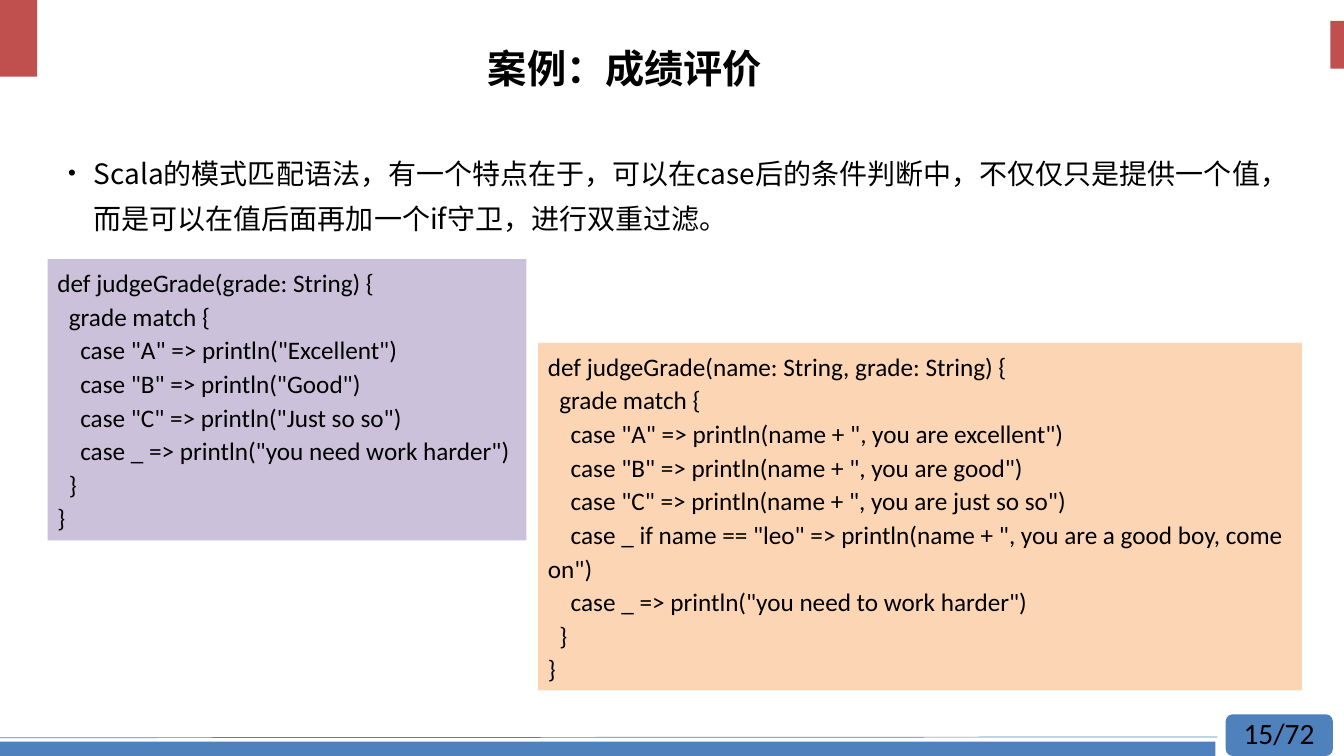
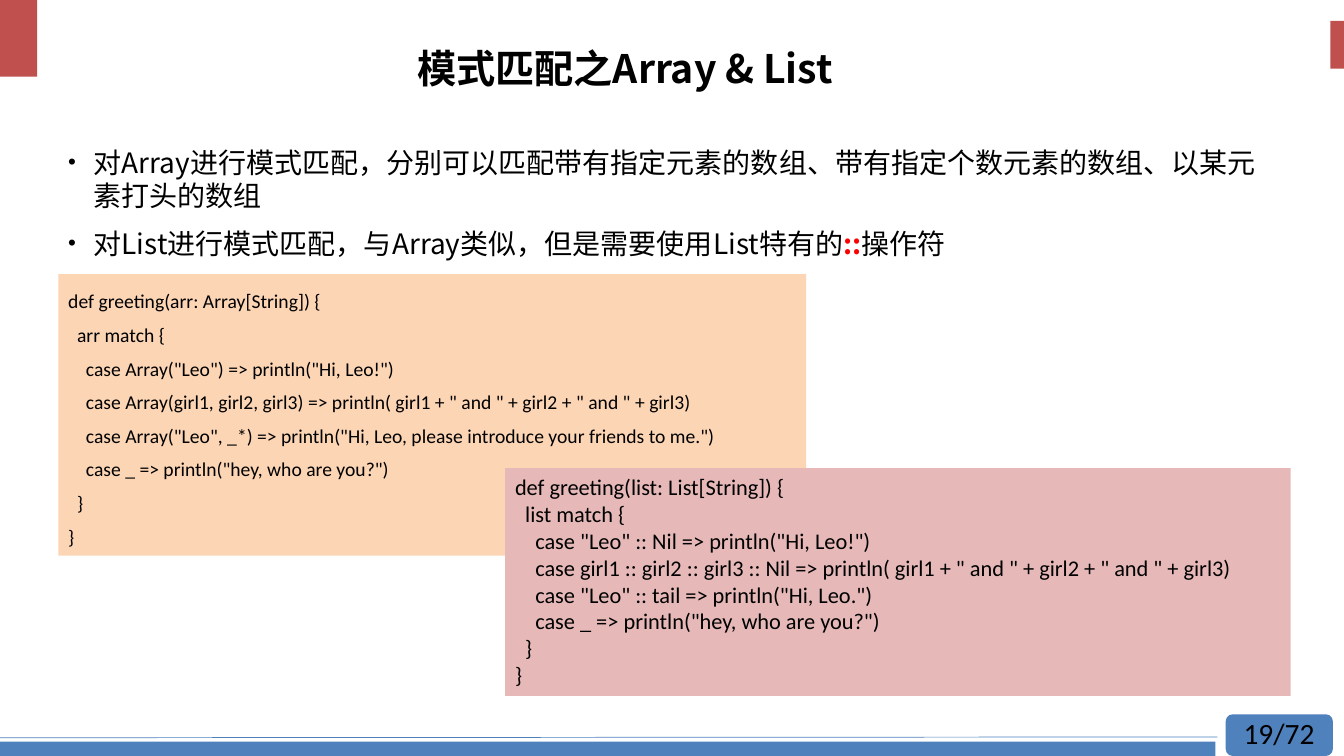
from dataclasses import dataclass

from lxml.etree import SubElement
from pptx import Presentation
from pptx.dml.color import RGBColor
from pptx.enum.shapes import MSO_CONNECTOR, MSO_SHAPE as SHAPE
from pptx.enum.text import MSO_ANCHOR as ANCHOR, PP_ALIGN as ALIGN
from pptx.oxml.ns import qn
from pptx.util import Cm, Pt


@dataclass(frozen=True)
class Theme:
    red: str = "C0504D"
    blue: str = "4F81BD"
    ink: str = "000000"
    accent: str = "FF0000"
    purple: str = "CCC1DA"
    orange: str = "FCD5B5"
    pink: str = "E6B9B8"
    font: str = "Noto Sans CJK SC"
    code_font: str = "Calibri"
    title_size: int = 28
    body_size: int = 20
    page_size: int = 21
    code_leading: int = 24
    indent_em: float = 0.226  # width of one space in the code font


T = Theme()
WIDTH, HEIGHT = 33.87, 19.05
TOTAL_PAGES = 72


def add_box(s, box, fill=None, kind=SHAPE.RECTANGLE):
    """Add a plain filled shape, or a text box when there is no fill."""
    lengths = [Cm(v) for v in box]
    if fill is None:
        return s.shapes.add_textbox(*lengths)
    sp = s.shapes.add_shape(kind, *lengths)
    sp.shadow.inherit = False
    sp.fill.solid()
    sp.fill.fore_color.rgb = RGBColor.from_string(fill)
    sp.line.fill.background()
    return sp


def add_bullet(p):
    pPr = p._p.get_or_add_pPr()
    pPr.set("marL", str(Cm(0.64)))
    pPr.set("indent", str(-Cm(0.64)))
    SubElement(pPr, qn("a:buSzPct"), val="80000")
    SubElement(pPr, qn("a:buFont"), typeface="Arial")
    SubElement(pPr, qn("a:buChar"), char="•")


def add_run(p, text, size, font, color=T.ink, bold=False):
    r = p.add_run()
    r.text = text
    r.font.size, r.font.name, r.font.bold = Pt(size), font, bold
    r.font.color.rgb = RGBColor.from_string(color)
    SubElement(r._r.get_or_add_rPr(), qn("a:ea"), typeface=font)


def set_text(sp, paragraphs, size, font=T.font, bold=False, align=ALIGN.LEFT,
             anchor=ANCHOR.TOP, leading=None, before=0, bullet=False, code=False):
    """Fill a shape; a paragraph is a string or a list of (text, run format)."""
    tf = sp.text_frame
    tf.word_wrap = True
    tf.vertical_anchor = anchor
    for i, content in enumerate(paragraphs):
        p = tf.paragraphs[0] if i == 0 else tf.add_paragraph()
        p.alignment = align
        p.space_before = Pt(before)
        if leading:
            p.line_spacing = leading
        if bullet:
            add_bullet(p)
        if code:
            depth = len(content) - len(content.lstrip())
            content = content.lstrip()
            p._p.get_or_add_pPr().set("indent", str(Pt(depth * T.indent_em * size)))
        runs = [(content, {})] if isinstance(content, str) else content
        for text, fmt in runs:
            add_run(p, text, size, font, **{"bold": bold, **fmt})


def add_frame(s, page):
    """Draw the corner marks, the footer band and the page number."""
    add_box(s, (0, 0, 0.94, 1.93), T.red)
    add_box(s, (WIDTH - 0.34, 0.53, 0.34, 1.2), T.red)
    add_box(s, (0, HEIGHT - 0.36, 30.63, 0.36), T.blue)
    add_box(s, (30.89, 18.0, 2.7, 1.05), T.blue, SHAPE.FLOWCHART_ALTERNATE_PROCESS)
    rule = s.shapes.add_connector(MSO_CONNECTOR.STRAIGHT,
                                  Cm(0), Cm(18.59), Cm(30.68), Cm(18.57))
    rule.line.color.rgb = RGBColor.from_string(T.blue)
    rule.line.width = Pt(0.5)
    SubElement(rule._element.spPr, qn("a:effectLst"))
    set_text(add_box(s, (31.09, 17.9, 2.6, 1.14)), [f"{page}/{TOTAL_PAGES}"],
             T.page_size, font=T.code_font)


def add_code(s, box, fill, code, size, leading=None):
    set_text(add_box(s, box, fill), code.strip().split("\n"), size,
             font=T.code_font, leading=leading, code=True)


def add_content_slide(prs, page, title, bullets, leading):
    s = prs.slides.add_slide(prs.slide_layouts[6])
    add_frame(s, page)
    set_text(add_box(s, (1.47, 3.53, 31.04, 13.87)), bullets, T.body_size,
             leading=Pt(leading), before=10, bullet=True)
    set_text(add_box(s, (4.32, 0.74, 22.86, 2.08)), [title], T.title_size,
             bold=True, align=ALIGN.CENTER, anchor=ANCHOR.MIDDLE, leading=0.9)
    return s


GRADE = '''
def judgeGrade(grade: String) {
  grade match {
    case "A" => println("Excellent")
    case "B" => println("Good")
    case "C" => println("Just so so")
    case _ => println("you need work harder")
  }
}
'''

GUARDED_GRADE = '''
def judgeGrade(name: String, grade: String) {
  grade match {
    case "A" => println(name + ", you are excellent")
    case "B" => println(name + ", you are good")
    case "C" => println(name + ", you are just so so")
    case _ if name == "leo" => println(name + ", you are a good boy, come on")
    case _ => println("you need to work harder")
  }
}
'''

ARRAY_GREETING = '''
def greeting(arr: Array[String]) {
  arr match {
    case Array("Leo") => println("Hi, Leo!")
    case Array(girl1, girl2, girl3) => println( girl1 + " and " + girl2 + " and " + girl3)
    case Array("Leo", _*) => println("Hi, Leo, please introduce your friends to me.")
    case _ => println("hey, who are you?")
  }
}
'''

LIST_GREETING = '''
def greeting(list: List[String]) {
  list match {
    case "Leo" :: Nil => println("Hi, Leo!")
    case girl1 :: girl2 :: girl3 :: Nil => println( girl1 + " and " + girl2 + " and " + girl3)
    case "Leo" :: tail => println("Hi, Leo.")
    case _ => println("hey, who are you?")
  }
}
'''


def add_grade_slide(prs):
    s = add_content_slide(prs, 15, "案例：成绩评价", [
        "Scala的模式匹配语法，有一个特点在于，可以在case后的条件判断中，"
        "不仅仅只是提供一个值，而是可以在值后面再加一个if守卫，进行双重过滤。",
    ], leading=32)
    leading = Pt(T.code_leading)
    add_code(s, (1.2, 6.53, 12.07, 7.09), T.purple, GRADE, 18, leading)
    add_code(s, (13.56, 8.64, 19.25, 8.76), T.orange, GUARDED_GRADE, 18, leading)


def add_array_list_slide(prs):
    s = add_content_slide(prs, 19, "模式匹配之Array & List", [
        "对Array进行模式匹配，分别可以匹配带有指定元素的数组、"
        "带有指定个数元素的数组、以某元素打头的数组",
        [("对List进行模式匹配，与Array类似，但是需要使用List特有的", {}),
         ("::", {"color": T.accent, "bold": True}),
         ("操作符", {})],
    ], leading=24)
    add_code(s, (1.47, 6.91, 18.85, 7.09), T.orange, ARRAY_GREETING, 14,
             Pt(T.code_leading))
    add_code(s, (12.73, 11.8, 19.8, 5.74), T.pink, LIST_GREETING, 16)


def main():
    prs = Presentation()
    prs.slide_width, prs.slide_height = Cm(WIDTH), Cm(HEIGHT)
    add_grade_slide(prs)
    add_array_list_slide(prs)
    prs.save("out.pptx")


if __name__ == "__main__":
    main()
